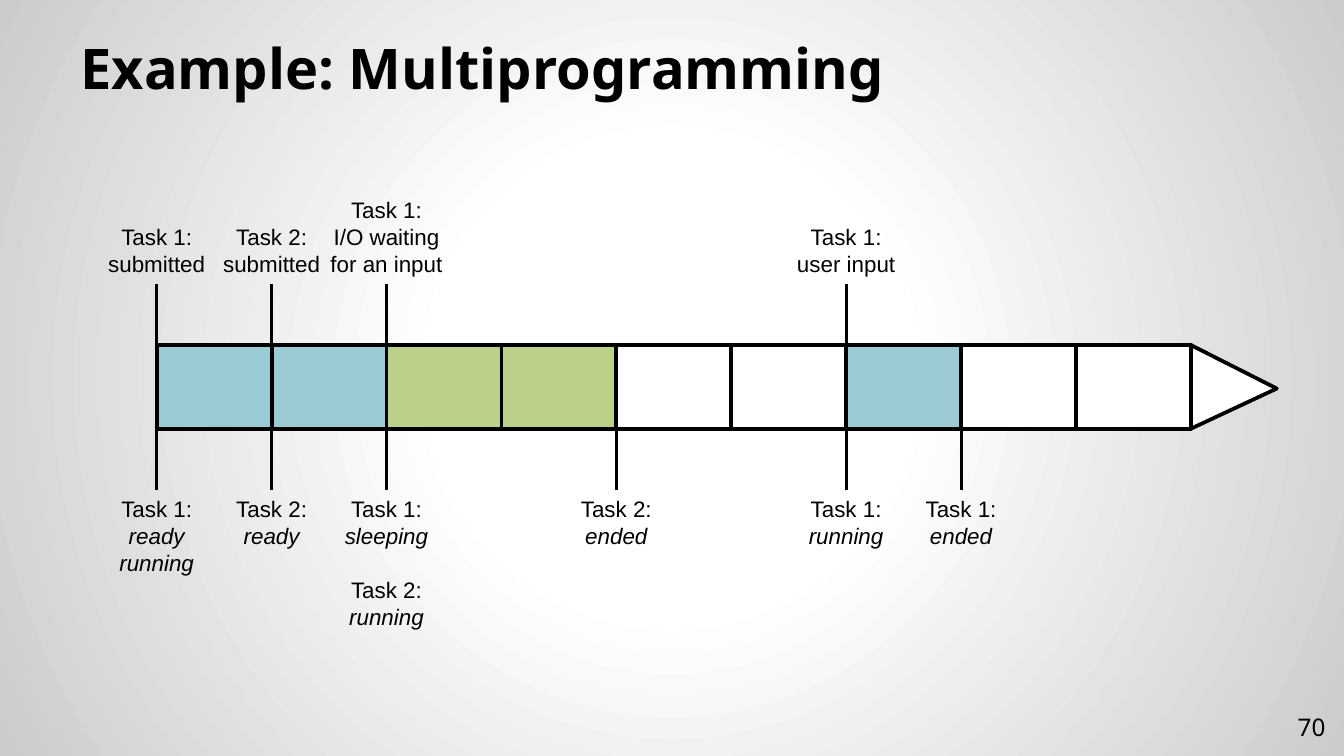
from dataclasses import dataclass

from pptx import Presentation
from pptx.dml.color import RGBColor
from pptx.enum.shapes import MSO_CONNECTOR, MSO_SHAPE
from pptx.enum.text import MSO_ANCHOR, PP_ALIGN
from pptx.oxml import parse_xml
from pptx.oxml.ns import nsdecls, qn
from pptx.util import Pt

RECT, HEAD = MSO_SHAPE.RECTANGLE, MSO_SHAPE.ISOSCELES_TRIANGLE
LINE = MSO_CONNECTOR.STRAIGHT
LEFT, MID, RIGHT = PP_ALIGN.LEFT, PP_ALIGN.CENTER, PP_ALIGN.RIGHT
TOP, CENTER, BASE = MSO_ANCHOR.TOP, MSO_ANCHOR.MIDDLE, MSO_ANCHOR.BOTTOM


@dataclass(frozen=True)
class Theme:
    ink: str = "000000"
    white: str = "FFFFFF"
    edge: str = "CCCCCC"
    blue: str = "9ACAD3"
    green: str = "BBD189"
    head: str = "Noto Sans"
    body: str = "Arial"
    title: float = 30
    label: float = 12
    page: float = 13
    lead: float = 14.4


T = Theme()
SLOTS = [T.blue] * 2 + [T.green] * 2 + [T.white] * 2 + [T.blue] + [T.white] * 2

# Slot edge, number of lines, (task, state) pairs
ABOVE = [
    (0, 2, [("Task 1:", "submitted")]),
    (1, 2, [("Task 2:", "submitted")]),
    (2, 3, [("Task 1:", "I/O waiting for an input")]),
    (6, 2, [("Task 1:", "user input")]),
]
BELOW = [
    (0, 3, [("Task 1:", "ready\nrunning")]),
    (1, 2, [("Task 2:", "ready")]),
    (2, 5, [("Task 1:", "sleeping"), ("Task 2:", "running")]),
    (4, 2, [("Task 2:", "ended")]),
    (6, 2, [("Task 1:", "running")]),
    (7, 2, [("Task 1:", "ended")]),
]


def add_run(para, text, size, face, bold=False, italic=False):
    run = para.add_run()
    run.text = text
    font = run.font
    font.size, font.name = Pt(size), face
    font.bold, font.italic = bold, italic
    font.color.rgb = RGBColor.from_string(T.ink)


def add_box(slide, x, y, w, h, anchor):
    frame = slide.shapes.add_textbox(Pt(x), Pt(y), Pt(w), Pt(h)).text_frame
    frame.word_wrap = True
    frame.vertical_anchor = anchor
    return frame


def add_line(slide, x, y, end):
    line = slide.shapes.add_connector(LINE, Pt(x), Pt(y), Pt(x), Pt(end))
    line.line.color.rgb = RGBColor.from_string(T.ink)
    line.line.width = Pt(1.5)
    line._element.spPr.append(line._element.spPr.makeelement(qn("a:effectLst"), {}))


def add_block(slide, kind, x, y, w, h, fill):
    block = slide.shapes.add_shape(kind, Pt(x), Pt(y), Pt(w), Pt(h))
    block.shadow.inherit = False
    block.fill.solid()
    block.fill.fore_color.rgb = RGBColor.from_string(fill)
    block.line.color.rgb = RGBColor.from_string(T.ink)
    block.line.width = Pt(2)
    return block


def add_label(slide, x, y, w, h, pairs, italic):
    frame = add_box(slide, x, y, w, h, TOP)
    for i, (task, state) in enumerate(pairs):
        para = frame.add_paragraph() if i else frame.paragraphs[0]
        para.alignment, para.line_spacing = MID, Pt(T.lead)
        if i:
            para.space_before = Pt(T.lead)
        add_run(para, task, T.label, T.body)
        for part in state.split("\n"):
            para.add_line_break()
            add_run(para, part, T.label, T.body, italic=italic)


def paint_back(slide):
    # Radial gradient from the centre of the slide
    stops = "".join(
        f'<a:gs pos="{pos}000"><a:srgbClr val="{tone}"/></a:gs>'
        for pos, tone in [(0, T.white), (30, T.white), (100, T.edge)])
    slide._element.cSld.insert(0, parse_xml(
        f'<p:bg {nsdecls("p", "a")}><p:bgPr><a:gradFill><a:gsLst>{stops}</a:gsLst>'
        '<a:path path="circle"><a:fillToRect l="50000" t="50000" r="50000" b="50000"/>'
        '</a:path></a:gradFill><a:effectLst/></p:bgPr></p:bg>'))


def add_head(slide, x, y, w, h, text, size, align, anchor, bold=False):
    frame = add_box(slide, x, y, w, h, anchor)
    frame.margin_top = frame.margin_bottom = Pt(7.2)
    para = frame.paragraphs[0]
    para.alignment = align
    add_run(para, text, size, T.head, bold=bold)


def add_track(slide, x, y, w, h):
    tip, tick, wide = 46, 32.8, 77
    step = (w - tip) / len(SLOTS)

    # Time slots
    for i, fill in enumerate(SLOTS):
        add_block(slide, RECT, x + i * step, y, step, h, fill)

    # Arrow tip, turned about its centre
    mid = x + w - tip / 2
    head = add_block(slide, HEAD, mid - h / 2, y + (h - tip) / 2, h, tip, T.white)
    head.adjustments[0] = 0.52
    head.rotation = 90

    # Events above, states below
    for rows, below in [(ABOVE, False), (BELOW, True)]:
        for slot, lines, pairs in rows:
            at, high = x + slot * step, lines * T.lead + 7.2
            start = y + h if below else y - tick
            add_line(slide, at, start, start + tick)
            top = start + tick - 0.7 if below else start - high
            add_label(slide, at - wide / 2, top, wide, high, pairs, below)


def main():
    deck = Presentation()
    deck.slide_width, deck.slide_height = Pt(720), Pt(405)
    slide = deck.slides.add_slide(deck.slide_layouts[6])
    paint_back(slide)
    add_head(slide, 36, 16.6, 648, 44.6, "Example: Multiprogramming",
             T.title, LEFT, BASE, bold=True)
    add_track(slide, 84, 184.9, 600, 44.8)
    add_head(slide, 673.9, 373.7, 43.2, 31, "70", T.page, RIGHT, CENTER)
    deck.save("out.pptx")


if __name__ == "__main__":
    main()
